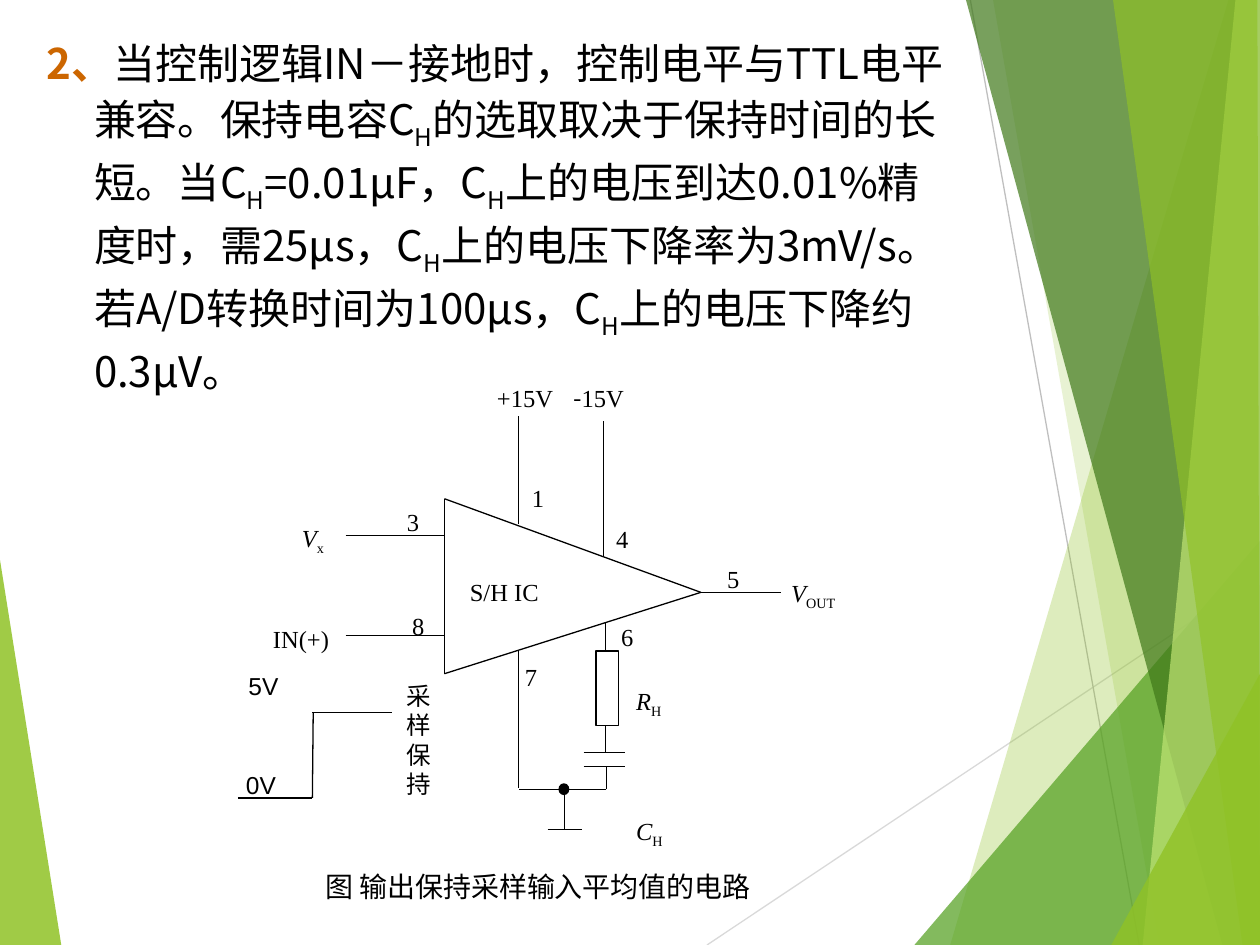
from lxml.etree import SubElement
from pptx import Presentation
from pptx.dml.color import RGBColor
from pptx.enum.shapes import MSO_CONNECTOR, MSO_SHAPE
from pptx.enum.text import MSO_ANCHOR, MSO_AUTO_SIZE, PP_ALIGN
from pptx.oxml.ns import qn
from pptx.util import Pt

COLORS = {
    "black": "000000", "white": "FFFFFF", "orange": "CC6600",
    "light gray": "D9D9D9", "gray": "BFBFBF",
    "green": "90C226", "leaf": "54A021", "forest": "3F7819", "lime": "C0E474",
}
BODY = "Noto Sans CJK JP"
SERIF = "Times New Roman"

# Run formats: font values, with "baseline" for subscripts
STYLES = {
    "number": {"name": BODY, "size": Pt(24), "bold": True, "color": "orange"},
    "body": {"name": BODY, "size": Pt(24), "bold": False},
    "body sub": {"name": BODY, "size": Pt(24), "bold": False, "baseline": "-25000"},
    "label": {"name": SERIF, "size": Pt(14)},
    "symbol": {"name": SERIF, "size": Pt(14), "italic": True},
    "sub": {"name": SERIF, "size": Pt(14), "baseline": "-25000"},
    "minus": {"name": "Noto Sans CJK SC", "size": Pt(14)},
    "level": {"name": "Arial", "size": Pt(14)},
    "figure": {"name": SERIF, "size": Pt(16)},
    "caption": {"name": "Arial", "size": Pt(16)},
}


def add_runs(paragraph, runs):
    for text, style in runs:
        run = paragraph.add_run()
        run.text = text
        values = dict(STYLES[style])
        run.font.color.rgb = RGBColor.from_string(COLORS[values.pop("color", "black")])
        baseline = values.pop("baseline", None)
        for name, value in values.items():
            setattr(run.font, name, value)
        properties = run._r.get_or_add_rPr()
        if baseline:
            properties.set("baseline", baseline)
        if values["name"] == BODY:
            SubElement(properties, qn("a:ea"), typeface=BODY)


def add_line(shapes, x1, y1, x2, y2, color="black"):
    line = shapes.add_connector(MSO_CONNECTOR.STRAIGHT, Pt(x1), Pt(y1), Pt(x2), Pt(y2))
    line.line.color.rgb = RGBColor.from_string(COLORS[color])
    line.line.width = Pt(0.75)
    SubElement(line._element.spPr, qn("a:effectLst"))


presentation = Presentation()
presentation.slide_width, presentation.slide_height = Pt(720), Pt(540)
slide = presentation.slides.add_slide(presentation.slide_layouts[1])
shapes = slide.shapes
title = shapes.title._element
title.getparent().remove(title)

# Background facets: corner points, colour, opacity in percent
facets = [
    ([(0, 320), (35, 540), (0, 540)], "green", 85),
    ([(702, 0), (543, 540), (720, 540), (720, 0)], "green", 30),
    ([(567.5, 0), (662.5, 540), (720, 540), (720, 0)], "green", 20),
    ([(522.5, 540), (720, 309), (720, 540)], "leaf", 72),
    ([(552, 0), (698.5, 540), (720, 540), (720, 0)], "forest", 70),
    ([(706, 0), (653, 540), (720, 540), (720, 0)], "lime", 70),
    ([(636, 0), (710, 540), (720, 540), (718.5, 0)], "green", 65),
    ([(635, 540), (720, 385), (720, 540)], "green", 80),
]
for index, (points, color, opacity) in enumerate(facets):
    corners = [(Pt(x), Pt(y)) for x, y in points]
    builder = shapes.build_freeform(*corners[0])
    builder.add_line_segments(corners[1:], close=True)
    facet = builder.convert_to_shape()
    facet.shadow.inherit = False
    facet.fill.solid()
    facet.fill.fore_color.rgb = RGBColor.from_string(COLORS[color])
    facet.line.fill.background()
    fill_color = facet._element.spPr.find(".//" + qn("a:srgbClr"))
    SubElement(fill_color, qn("a:alpha"), val=str(opacity * 1000))
    if index == 0:
        add_line(shapes, 404, 540, 720, 329, "light gray")
        add_line(shapes, 554.5, 0, 651, 540, "gray")

# Body text with a hanging indent
body = slide.placeholders[1]
body.left, body.top, body.width, body.height = Pt(19.5), Pt(15), Pt(533), Pt(221)
body.text_frame.auto_size = MSO_AUTO_SIZE.NONE
body.text_frame.vertical_anchor = MSO_ANCHOR.TOP
paragraph = body.text_frame.paragraphs[0]
paragraph.line_spacing = 1.1
paragraph.space_before = Pt(0)
paragraph_properties = paragraph._p.get_or_add_pPr()
paragraph_properties.set("marL", str(Pt(27)))
paragraph_properties.set("indent", str(Pt(-27)))
SubElement(paragraph_properties, qn("a:buNone"))
add_runs(paragraph, [("2、", "number")])
sentences = [
    "当控制逻辑IN－接地时，控制电平与TTL电平兼容。保持电容C",
    "的选取取决于保持时间的长短。当C",
    "=0.01μF，C",
    "上的电压到达0.01%精度时，需25μs，C",
    "上的电压下降率为3mV/s。若A/D转换时间为100μs，C",
    "上的电压下降约0.3μV。",
]
for index, sentence in enumerate(sentences):
    if index:
        add_runs(paragraph, [("H", "body sub")])
    add_runs(paragraph, [(sentence, "body")])

# Circuit wires
wires = [
    # Amplifier triangle
    (254, 285, 254, 385), (254, 285, 400.5, 338.5), (254, 385, 400.5, 338.5),
    # Inputs, output and supplies
    (197.5, 306, 254, 306), (197.5, 363, 254, 363), (400.5, 338.5, 446.5, 338.5),
    (296.5, 299.5, 296.5, 237.5), (345, 317.5, 345, 240.5),
    # Hold capacitor and ground
    (296.5, 372, 296.5, 450), (346, 355.5, 346, 430),
    (333.5, 430, 357, 430), (333.5, 438, 357, 438), (346.5, 438, 346.5, 451),
    (346.5, 451, 296.5, 451), (322.5, 451, 322.5, 474), (313, 474, 332.5, 474),
    # Logic step
    (136, 456, 178.5, 456), (178.5, 456, 179, 407), (178.5, 407, 224, 407),
]
for wire in wires:
    add_line(shapes, *wire)

# Resistor, junction dot and output label plate
parts = [
    (MSO_SHAPE.RECTANGLE, 340.5, 372, 13, 42.5, "white", "black"),
    (MSO_SHAPE.OVAL, 319.5, 448, 5.5, 6, "black", "black"),
    (MSO_SHAPE.RECTANGLE, 452, 330.5, 62, 22.5, "white", "white"),
]
for kind, left, top, width, height, fill, outline in parts:
    part = shapes.add_shape(kind, Pt(left), Pt(top), Pt(width), Pt(height))
    part.shadow.inherit = False
    part.fill.solid()
    part.fill.fore_color.rgb = RGBColor.from_string(COLORS[fill])
    part.line.color.rgb = RGBColor.from_string(COLORS[outline])
    part.line.width = Pt(0.75)
output_plate = part

# Labels: left, top, width, height, paragraphs of runs
labels = [
    (304, 276, 23, 37, [[("1", "label")]]),
    (232.5, 290, 9.5, 19.5, [[("3", "label")]]),
    (352, 299.5, 23, 37, [[("4", "label")]]),
    (415.5, 322.5, 8, 21.5, [[("5", "label")]]),
    (355, 355.5, 13.5, 32.5, [[("6", "label")]]),
    (300, 378.5, 23, 37.5, [[("7", "label")]]),
    (235.5, 349, 8, 21.5, [[("8", "label")]]),
    (284, 219, 47, 36.5, [[("+15V", "label")]]),
    (327.5, 219, 55, 51, [[("-", "minus"), ("15V", "label")]]),
    (268.5, 329.5, 48, 25, [[("S/H IC", "label")]]),
    (156, 356.5, 39, 23, [[("IN(+)", "label")]]),
    (172.5, 299, 17, 27.5, [[("V", "symbol"), ("x", "sub")]]),
    (232.5, 389, 25, 67, [[("采样", "label")], [("保持", "label")]]),
    (363.5, 392, 50, 92, [[("R", "symbol"), ("H", "sub")], [("C", "symbol"), ("H", "sub")]]),
    (452, 330.5, 62, 22.5, [[("V", "symbol"), ("OUT", "sub")]]),
    (142, 383.5, 37.5, 17, [[("5V", "level")]]),
    (140.5, 440, 37.5, 17, [[("0V", "level")]]),
    (186, 497, 258, 19.5, [[("图 ", "figure"), ("输出保持采样输入平均值的电路", "caption")]]),
]
frame_format = {
    "word_wrap": True, "vertical_anchor": MSO_ANCHOR.TOP,
    "margin_left": 0, "margin_top": 0, "margin_right": 0, "margin_bottom": 0,
}
for left, top, width, height, paragraphs in labels:
    if paragraphs[0][-1][0] == "OUT":
        label = output_plate
    else:
        label = shapes.add_textbox(Pt(left), Pt(top), Pt(width), Pt(height))
    frame = label.text_frame
    for name, value in frame_format.items():
        setattr(frame, name, value)
    for index, runs in enumerate(paragraphs):
        paragraph = frame.add_paragraph() if index else frame.paragraphs[0]
        paragraph.alignment = PP_ALIGN.JUSTIFY
        if index and runs[0][0] == "C":
            paragraph.space_before = Pt(55)
        add_runs(paragraph, runs)

presentation.save("out.pptx")
